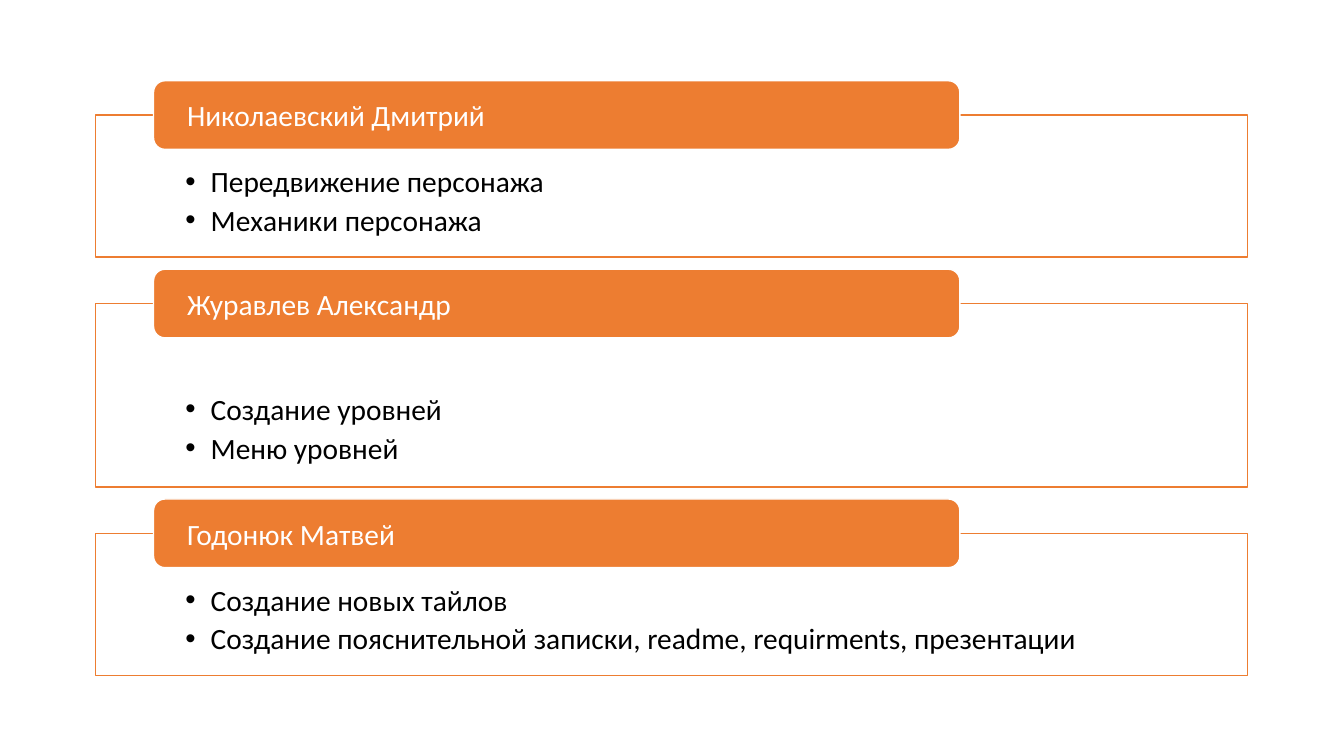
from dataclasses import dataclass

from lxml import etree
from pptx import Presentation
from pptx import util as u
from pptx.dml.color import RGBColor
from pptx.enum import shapes, text
from pptx.oxml.ns import qn

ORANGE = RGBColor(0xED, 0x7D, 0x31)
WHITE = RGBColor(0xFF, 0xFF, 0xFF)
BLACK = RGBColor(0x00, 0x00, 0x00)

FONT_NAME = "Calibri"
FONT_SIZE = u.Pt(21)

# Layout, in centimetres
CARD_LEFT, CARD_WIDTH, FIRST_CARD_TOP, CARD_GAP = 2.41, 29.03, 2.9, 1.17
TAB_LEFT, TAB_WIDTH, TAB_HEIGHT = 3.87, 20.32, 1.73
TASKS_TOP_INSET, BULLET_INDENT = 1.22, 0.64


@dataclass
class Member:
    name: str
    tasks: list[str]
    card_height: float = 3.58
    offset: float = 0  # extra space above the tasks


MEMBERS = [
    Member("Николаевский Дмитрий", ["Передвижение персонажа", "Механики персонажа"]),
    Member("Журавлев Александр", ["Создание уровней", "Меню уровней"], 4.62, 0.99),
    Member("Годонюк Матвей", [
        "Создание новых тайлов",
        "Создание пояснительной записки, readme, requirments, презентации",
    ]),
]


def add_panel(slide, kind, box: tuple, fill: RGBColor, line: RGBColor, insets: tuple):
    """Add a filled shape; box and insets (left, top, right, bottom) are in cm."""
    shape = slide.shapes.add_shape(kind, *map(u.Cm, box))
    shape.shadow.inherit = False
    shape.fill.solid()
    shape.fill.fore_color.rgb = fill
    shape.line.color.rgb = line
    shape.line.width = u.Pt(1)
    frame = shape.text_frame
    frame.word_wrap = True
    (frame.margin_left, frame.margin_top,
     frame.margin_right, frame.margin_bottom) = map(u.Cm, insets)
    return shape


def write_paragraph(paragraph, content: str, color: RGBColor) -> None:
    paragraph.alignment = text.PP_ALIGN.LEFT
    run = paragraph.add_run()
    run.text = content
    run.font.name = FONT_NAME
    run.font.size = FONT_SIZE
    run.font.color.rgb = color


def add_bullet(paragraph) -> None:
    properties = paragraph._p.get_or_add_pPr()
    properties.set("marL", str(u.Cm(BULLET_INDENT)))
    properties.set("indent", str(-u.Cm(BULLET_INDENT)))
    etree.SubElement(properties, qn("a:buFont"), typeface="Arial")
    etree.SubElement(properties, qn("a:buChar"), char="•")


def add_card(slide, member: Member, top: float) -> None:
    # Outlined card with the tasks
    card = add_panel(
        slide, shapes.MSO_SHAPE.RECTANGLE,
        (CARD_LEFT, top, CARD_WIDTH, member.card_height), WHITE, ORANGE,
        (2.26, TASKS_TOP_INSET + member.offset, 2.26, 0.41))
    fill_color = card._element.spPr.find(qn("a:solidFill")).find(qn("a:srgbClr"))
    etree.SubElement(fill_color, qn("a:alpha"), val="90000")
    frame = card.text_frame
    frame.vertical_anchor = text.MSO_ANCHOR.TOP
    for index, task in enumerate(member.tasks):
        paragraph = frame.add_paragraph() if index else frame.paragraphs[0]
        paragraph.space_after = u.Pt(2.5)
        write_paragraph(paragraph, task, BLACK)
        add_bullet(paragraph)

    # Name tab centred on the card's top edge
    tab = add_panel(
        slide, shapes.MSO_SHAPE.ROUNDED_RECTANGLE,
        (TAB_LEFT, top - TAB_HEIGHT / 2, TAB_WIDTH, TAB_HEIGHT), ORANGE, WHITE,
        (0.76, 0, 0.76, 0))
    tab.text_frame.vertical_anchor = text.MSO_ANCHOR.MIDDLE
    write_paragraph(tab.text_frame.paragraphs[0], member.name, WHITE)


def main() -> None:
    presentation = Presentation()
    presentation.slide_width, presentation.slide_height = u.Cm(33.87), u.Cm(19.05)
    slide = presentation.slides.add_slide(presentation.slide_layouts[6])

    # Cards stacked with equal gaps
    top = FIRST_CARD_TOP
    for member in MEMBERS:
        add_card(slide, member, top)
        top += member.card_height + CARD_GAP

    presentation.save("out.pptx")


if __name__ == "__main__":
    main()
